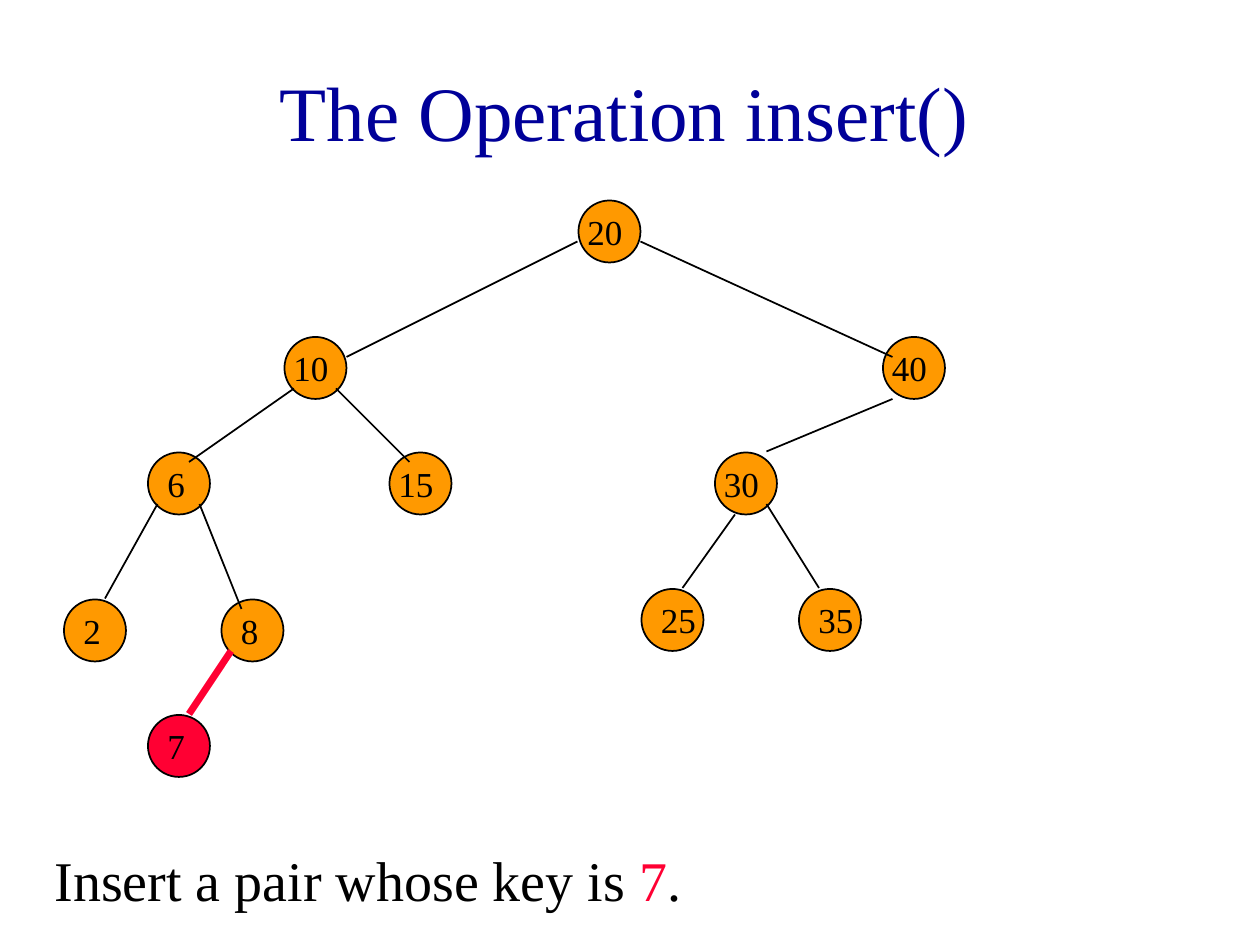
from lxml.etree import SubElement
from pptx import Presentation
from pptx.dml.color import RGBColor
from pptx.enum.shapes import MSO_CONNECTOR, MSO_SHAPE
from pptx.enum.text import MSO_ANCHOR, MSO_AUTO_SIZE, PP_ALIGN
from pptx.oxml.ns import qn
from pptx.util import Cm, Pt

COLORS = {"title": "000099", "ink": "000000", "node": "FF9900", "new": "FF0033"}
FONT = "Times New Roman"
GRID = 2.54 / 12  # tree positions count twelfths of an inch
DIAMETER = 1.25

# key, left and top in grid steps, label shift in cm
NODES = [
    ("20", 55, 19, -0.05), ("10", 27, 32, -0.05), ("40", 84, 32, -0.05),
    ("6", 14, 43, 0.16), ("15", 37, 43, -0.05), ("30", 68, 43, -0.05),
    ("2", 6, 57, 0.16), ("8", 21, 57, 0.16),
    ("25", 61, 56, 0.16), ("35", 76, 56, 0.16),
]
NEW_NODE = ("7", 14, 68, 0.16)

# start and end in grid steps
EDGES = [
    (55, 23, 33, 34), (61, 23, 85, 34), (28, 37, 18, 44),
    (32, 37, 39, 44), (85, 38, 73, 43), (15, 48, 10, 57),
    (19, 48, 23, 58), (70, 49, 65, 56), (73, 48, 78, 56),
]
NEW_EDGE = (22, 62, 18, 68)


class TreeSlide:
    def __init__(self, deck):
        self.page = deck.slides.add_slide(deck.slide_layouts[5])

    def color(self, name):
        return RGBColor.from_string(COLORS[name])

    def add_span(self, para, text, size, color="ink"):
        span = para.add_run()
        span.text = text
        span.font.name = FONT
        span.font.size = Pt(size)
        span.font.color.rgb = self.color(color)

    def title(self, text):
        box = self.page.shapes.title
        box.left, box.top, box.width, box.height = Cm(0.2), Cm(0.64), Cm(24.77), Cm(3.18)
        frame = box.text_frame
        frame.auto_size = MSO_AUTO_SIZE.NONE
        frame.vertical_anchor = MSO_ANCHOR.MIDDLE
        para = frame.paragraphs[0]
        para.alignment = PP_ALIGN.CENTER
        self.add_span(para, text, 44, "title")

    def text_box(self, shapes, left, top, width, height, wrap):
        box = shapes.add_textbox(Cm(left), Cm(top), Cm(width), Cm(height))
        box.text_frame.word_wrap = wrap
        box.text_frame.auto_size = MSO_AUTO_SIZE.SHAPE_TO_FIT_TEXT
        return box.text_frame.paragraphs[0]

    def circle(self, shapes, column, row, fill="node"):
        circle = shapes.add_shape(
            MSO_SHAPE.OVAL, Cm(column * GRID + 0.02), Cm(row * GRID + 0.02),
            Cm(DIAMETER), Cm(DIAMETER))
        circle.shadow.inherit = False
        circle.fill.solid()
        circle.fill.fore_color.rgb = self.color(fill)
        circle.line.color.rgb = self.color("ink")
        circle.line.width = Pt(1)

    def label(self, shapes, key, column, row, shift):
        width = 1.22 if len(key) == 2 else 0.86
        para = self.text_box(
            shapes, column * GRID + shift, row * GRID + 0.09, width, 1.1, False)
        self.add_span(para, key, 20)

    def edge(self, shapes, ends, color="ink", width=1):
        line = shapes.add_connector(
            MSO_CONNECTOR.STRAIGHT, *(Cm(step * GRID) for step in ends))
        line.line.color.rgb = self.color(color)
        line.line.width = Pt(width)
        SubElement(line._element.spPr, qn("a:effectLst"))


def main():
    deck = Presentation()
    deck.slide_width, deck.slide_height = Cm(25.4), Cm(19.05)
    slide = TreeSlide(deck)
    shapes = slide.page.shapes

    # Title and task
    slide.title("The Operation insert()")
    para = slide.text_box(shapes, 0.85, 16.93, 22.86, 1.6, True)
    para.space_before = Pt(20)
    slide.add_span(para, "Insert a pair whose key is ", 32)
    slide.add_span(para, "7", 32, "new")
    slide.add_span(para, ".", 32)

    # Existing tree: circles, edges, then keys on top
    tree = shapes.add_group_shape().shapes
    for key, column, row, shift in NODES:
        slide.circle(tree, column, row)
    for ends in EDGES:
        slide.edge(tree, ends)
    for node in NODES:
        slide.label(tree, *node)

    # Inserted node
    slide.circle(shapes, NEW_NODE[1], NEW_NODE[2], "new")
    slide.label(shapes, *NEW_NODE)
    slide.edge(shapes, NEW_EDGE, "new", 4)

    deck.save("out.pptx")


if __name__ == "__main__":
    main()
